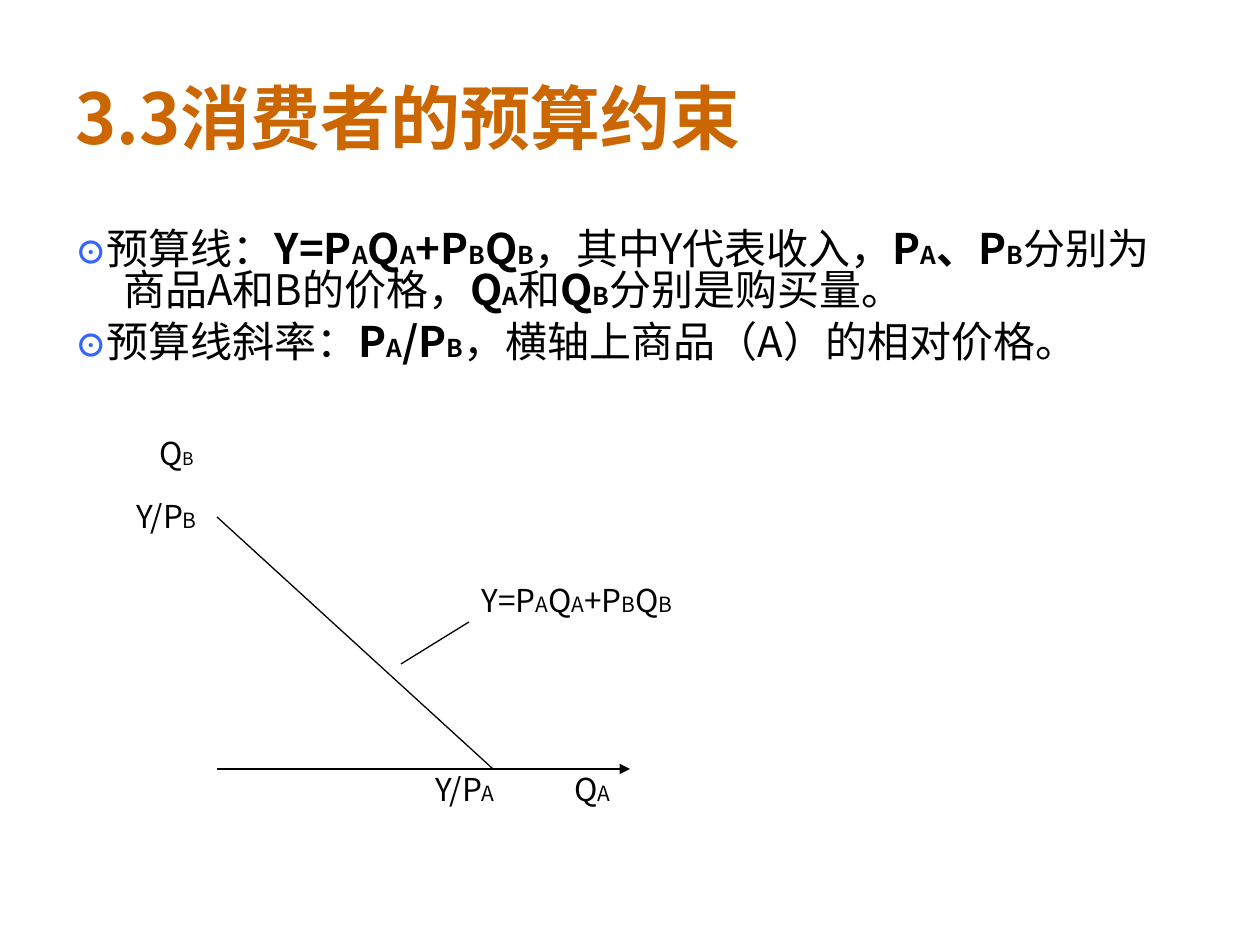
from pptx import Presentation
from pptx import util as u
from pptx.dml.color import RGBColor
from pptx.enum import shapes, text
from pptx.oxml.ns import qn
from lxml import etree

PX = 914400 // 126
FONT = "Noto Sans CJK SC"
COLORS = {"title": "CC6600", "bullet": "3366FF", "ink": "000000"}

# Markup: "|" switches bold on and off, "_" makes the next letter small
TITLE = "3.3消费者的预算约束"
BODY = [
    "预算线：|Y=P_AQ_A+P_BQ_B|，其中Y代表收入，|P_A、P_B|分别为商品A和B的价格，"
    "|Q_A|和|Q_B|分别是购买量。",
    "预算线斜率：|P_A/P_B|，横轴上商品（A）的相对价格。",
]

# Diagram: origin, axis end and intercepts in px
ORIGIN_X, AXIS_Y, AXIS_END = 217, 769, 630
INTERCEPT_A, INTERCEPT_B = 493, 517
LINES = [  # x1, y1, x2, y2, arrow
    (ORIGIN_X, AXIS_Y, AXIS_END, AXIS_Y, True),
    (ORIGIN_X, INTERCEPT_B, INTERCEPT_A, AXIS_Y, False),
    (401, 664, 469, 622, False),
]
LABEL_HEIGHT = 84
LABELS = [  # text, left, top, width, small size
    ("Y=P_AQ_A+P_BQ_B", 469, 575, 253, 12),
    ("Q_A", 562, 764, 92, 12),
    ("Q_B", 147, 428, 92, 10),
    ("Y/P_B", 124, 491, 115, 12),
    ("Y/P_A", 423, 764, 115, 12),
]


def add_run(paragraph, content, size, color, bold):
    run = paragraph.add_run()
    run.text = content
    font = run.font
    font.size, font.bold, font.name = u.Pt(size), bold, FONT
    font.color.rgb = RGBColor.from_string(COLORS[color])
    etree.SubElement(run._r.get_or_add_rPr(), qn("a:ea"), typeface=FONT)


def add_text(parent, paragraphs, left, top, width, height, *, size, small=12,
             color="ink", bold=False, bullet=None, indent=0, gap=0, spacing=1.0,
             align=text.PP_ALIGN.LEFT, anchor=text.MSO_ANCHOR.TOP):
    box = parent.add_textbox(*(v * PX for v in (left, top, width, height)))
    frame = box.text_frame
    frame.word_wrap = True
    frame.vertical_anchor = anchor
    for index, content in enumerate(paragraphs):
        paragraph = frame.paragraphs[0] if index == 0 else frame.add_paragraph()
        paragraph.alignment = align
        paragraph.line_spacing = spacing
        if index:
            paragraph.space_before = u.Pt(gap)
        if indent:
            properties = paragraph._p.get_or_add_pPr()
            properties.set("marL", str(indent * PX))
            properties.set("indent", str(-indent * PX))
        if bullet:
            add_run(paragraph, bullet, 18, "bullet", True)
        for number, segment in enumerate(content.split("|")):
            heavy = bold or number % 2 == 1
            first, *rest = segment.split("_")
            if first:
                add_run(paragraph, first, size, color, heavy)
            for part in rest:
                add_run(paragraph, part[0], small, color, heavy)
                if part[1:]:
                    add_run(paragraph, part[1:], size, color, heavy)


def add_line(parent, x1, y1, x2, y2, arrow):
    line = parent.add_connector(shapes.MSO_CONNECTOR.STRAIGHT,
                                *(v * PX for v in (x1, y1, x2, y2)))
    line.line.width = u.Pt(0.75)
    line.line.color.rgb = RGBColor.from_string(COLORS["ink"])
    if arrow:
        etree.SubElement(line.line._get_or_add_ln(), qn("a:tailEnd"), type="triangle")
    etree.SubElement(line._element.spPr, qn("a:effectLst"))


def main():
    presentation = Presentation()
    presentation.slide_width, presentation.slide_height = u.Inches(10), u.Inches(7.5)
    slide = presentation.slides.add_slide(presentation.slide_layouts[6])

    # Title and bullet text
    add_text(slide.shapes, [TITLE], 63, 38, 1134, 158, size=40, color="title",
             bold=True, anchor=text.MSO_ANCHOR.MIDDLE)
    add_text(slide.shapes, BODY, 63, 225, 1134, 624, size=24, small=14,
             bullet="⊙", indent=48, gap=6, spacing=0.82)

    # Budget line diagram
    diagram = slide.shapes.add_group_shape().shapes
    for line in LINES:
        add_line(diagram, *line)
    for label, left, top, width, small in LABELS:
        add_text(diagram, [label], left, top, width, LABEL_HEIGHT, size=18,
                 small=small, align=text.PP_ALIGN.JUSTIFY)

    presentation.save("out.pptx")


if __name__ == "__main__":
    main()
